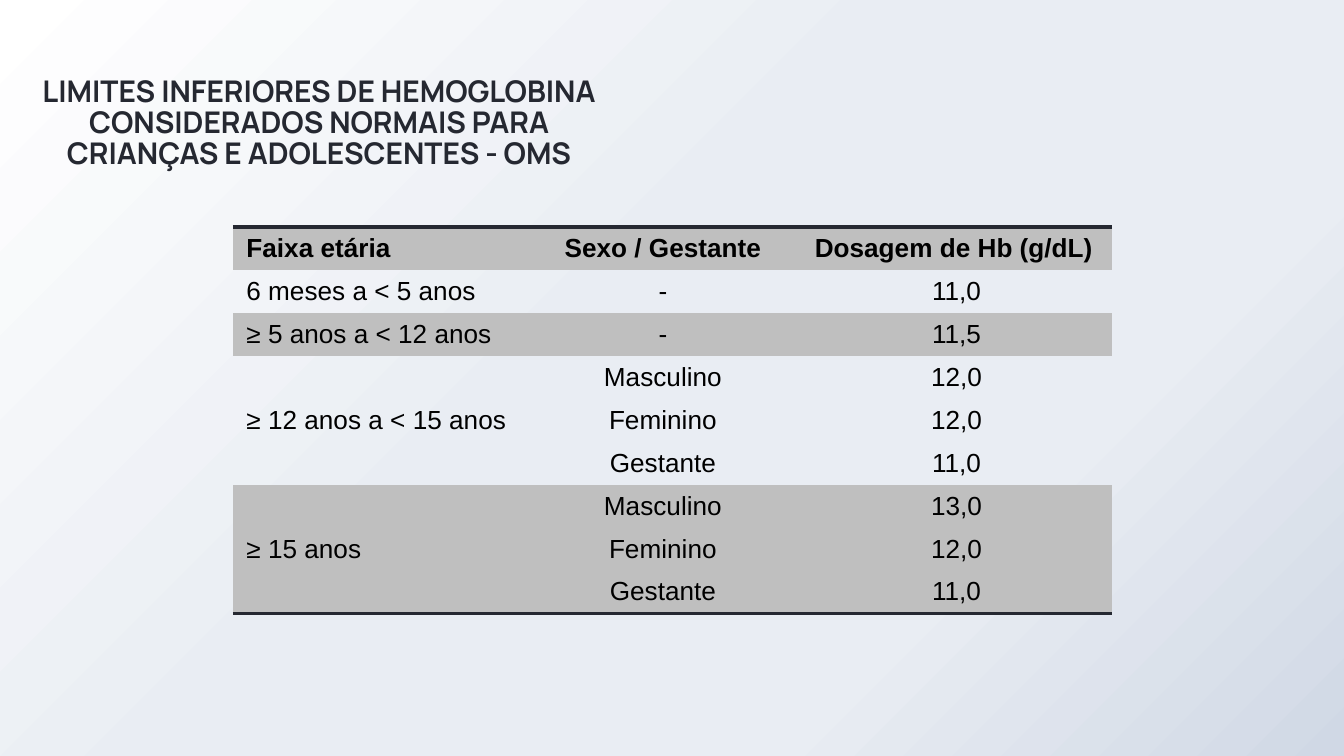
"""Builds the slide on the lower limits of normal hemoglobin by age group."""
from pptx import Presentation
from pptx.dml.color import RGBColor
from pptx.enum.text import MSO_ANCHOR as Anchor, MSO_AUTO_SIZE as AutoSize, PP_ALIGN as Align
from pptx.oxml import parse_xml
from pptx.oxml.ns import nsdecls
from pptx.util import Pt

TITLE = "LIMITES INFERIORES DE HEMOGLOBINA CONSIDERADOS NORMAIS PARA CRIANÇAS E ADOLESCENTES - OMS"
HEADER = ("Faixa etária", "Sexo / Gestante", "Dosagem de Hb (g/dL)")
AGE_GROUPS = [
    ("6 meses a < 5 anos", [("-", "11,0")]),
    ("≥ 5 anos a < 12 anos", [("-", "11,5")]),
    ("≥ 12 anos a < 15 anos", [("Masculino", "12,0"), ("Feminino", "12,0"), ("Gestante", "11,0")]),
    ("≥ 15 anos", [("Masculino", "13,0"), ("Feminino", "12,0"), ("Gestante", "11,0")]),
]
COLORS = {"ink": "252831", "text": "000000", "band": "BFBFBF"}
BACKGROUND_STOPS = [(0, "FFFFFF"), (44, "E9EDF3"), (72, "E9EDF3"), (100, "D0D8E5")]
COLUMN_WIDTHS = (156.2, 148.3, 166.3)
ROW_HEIGHT = 23
NO_STYLE = "{2D5ABB26-0587-4C30-8999-92F81FD0307C}"


def write(frame, text, font="Arial", size=14, color="text", bold=False, align=Align.LEFT, spacing=None):
    paragraph = frame.paragraphs[0]
    paragraph.alignment = align
    paragraph.line_spacing = spacing
    run = paragraph.add_run()
    run.text = text
    run.font.name, run.font.size, run.font.bold = font, Pt(size), bold
    run.font.color.rgb = RGBColor.from_string(COLORS[color])


def paint_background(slide):
    stops = "".join(
        f'<a:gs pos="{position * 1000}"><a:srgbClr val="{color}"/></a:gs>'
        for position, color in BACKGROUND_STOPS
    )
    slide.background.fill.gradient()
    gradient = next(slide.element.iter("{*}gradFill"))
    gradient.getparent().replace(gradient, parse_xml(
        f'<a:gradFill {nsdecls("a")} rotWithShape="1"><a:gsLst>{stops}</a:gsLst>'
        '<a:path path="circle"><a:fillToRect r="100000" b="100000"/></a:path></a:gradFill>'
    ))


def add_rule(cell, side):
    cell._tc.get_or_add_tcPr().insert(0, parse_xml(
        f'<a:{side} {nsdecls("a")} w="{Pt(2.25)}"><a:solidFill>'
        f'<a:srgbClr val="{COLORS["ink"]}"/></a:solidFill></a:{side}>'
    ))


def add_title(slide):
    title = slide.shapes.title
    title.left, title.top, title.width, title.height = Pt(14.4), Pt(20.9), Pt(313.2), Pt(70.6)
    frame = title.text_frame
    frame.margin_left = frame.margin_top = frame.margin_right = frame.margin_bottom = 0
    frame.word_wrap, frame.auto_size = True, AutoSize.NONE
    frame.vertical_anchor = Anchor.BOTTOM
    write(frame, TITLE, font="Manrope", size=16, color="ink", bold=True, align=Align.CENTER, spacing=0.87)


def add_limits(slide):
    groups = [(HEADER[0], [HEADER[1:]])] + AGE_GROUPS
    row_count = sum(len(limits) for _, limits in groups)
    graphic = slide.shapes.add_table(
        row_count, len(HEADER), Pt(124.8), Pt(121.7), Pt(sum(COLUMN_WIDTHS)), Pt(ROW_HEIGHT * row_count))
    table = graphic.table
    table.first_row = table.horz_banding = False
    next(graphic.element.iter("{*}tableStyleId")).text = NO_STYLE
    for column, width in zip(table.columns, COLUMN_WIDTHS):
        column.width = Pt(width)
    for row in table.rows:
        row.height = Pt(ROW_HEIGHT)

    start = 0
    for index, (age, limits) in enumerate(groups):
        is_header = index == 0
        for offset, limit in enumerate(limits):
            texts = (age if offset == 0 else None, *limit)
            for column, text in enumerate(texts):
                cell = table.cell(start + offset, column)
                cell.vertical_anchor = Anchor.TOP if is_header else Anchor.MIDDLE
                if index % 2 == 0:
                    cell.fill.solid()
                    cell.fill.fore_color.rgb = RGBColor.from_string(COLORS["band"])
                else:
                    cell.fill.background()
                if text:
                    centred = column == 1 or (column == 2 and not is_header)
                    write(cell.text_frame, text, bold=is_header,
                          align=Align.CENTER if centred else Align.LEFT)
        if len(limits) > 1:
            table.cell(start, 0).merge(table.cell(start + len(limits) - 1, 0))
        start += len(limits)

    for column in range(len(HEADER)):
        add_rule(table.cell(0, column), "lnT")
        add_rule(table.cell(row_count - 1, column), "lnB")
    add_rule(table.cell(row_count - len(groups[-1][1]), 0), "lnB")


def main():
    deck = Presentation()
    deck.slide_width, deck.slide_height = Pt(720), Pt(405)
    slide = deck.slides.add_slide(deck.slide_layouts.get_by_name("Title Only"))
    paint_background(slide)
    add_title(slide)
    add_limits(slide)
    deck.save("out.pptx")


if __name__ == "__main__":
    main()
